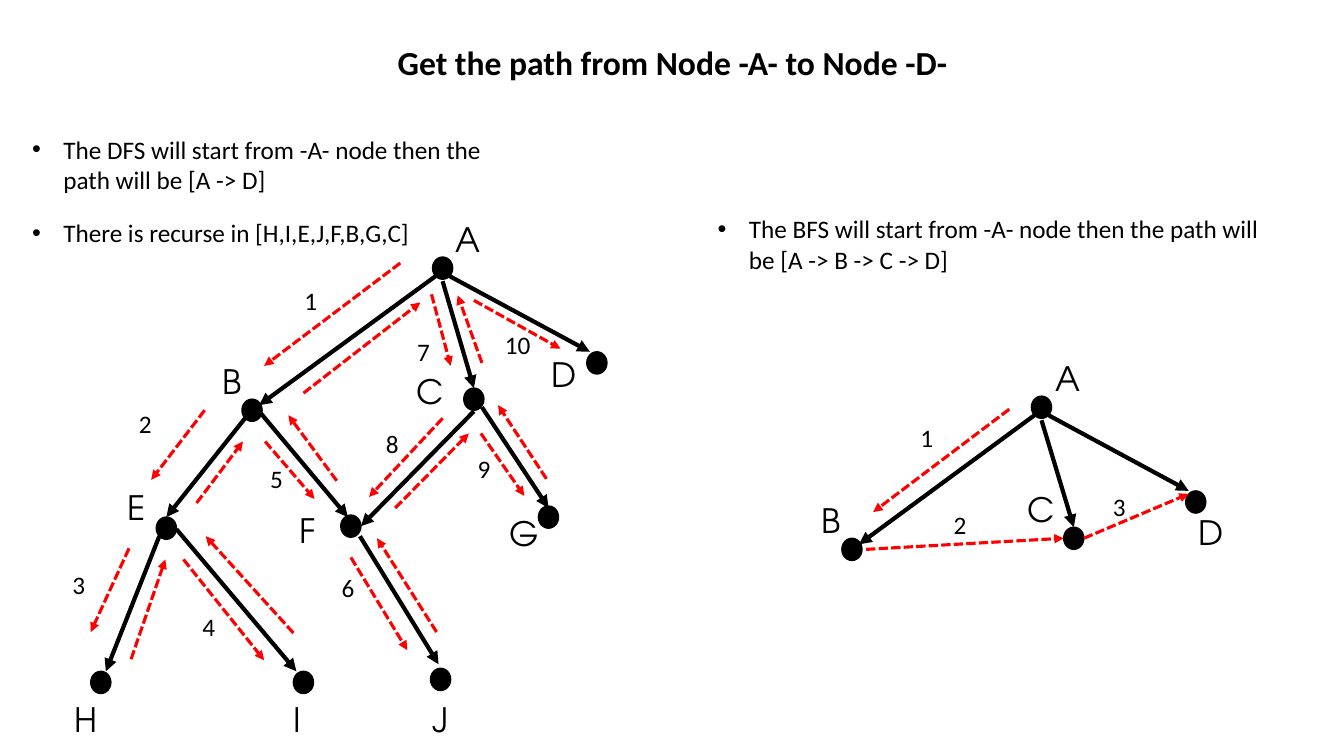
from lxml.etree import SubElement
from pptx import Presentation
from pptx.dml.color import RGBColor
from pptx.enum.dml import MSO_LINE
from pptx.enum.shapes import MSO_CONNECTOR, MSO_SHAPE
from pptx.enum.text import PP_ALIGN
from pptx.oxml.ns import qn
from pptx.util import Inches, Pt

BLACK, RED = "000000", "FF0000"
BODY, LABEL = "Calibri", "TeX Gyre Adventor"

# Every place below is in inches from the corner of its graph's box.
# Nodes: name, dot left and top, label left and top
DFS_NODES = [
    ("A", 4.29, 0.55, 4.42, 0.12), ("B", 2.4, 1.96, 2.11, 1.53),
    ("C", 4.6, 1.85, 4.03, 1.63), ("D", 5.82, 1.49, 5.37, 1.46),
    ("E", 1.55, 3.13, 1.17, 2.78), ("F", 3.38, 3.11, 2.87, 3.01),
    ("G", 5.34, 3.02, 4.96, 3.04), ("H", 0.9, 4.66, 0.64, 4.88),
    ("I", 2.91, 4.66, 2.81, 4.88), ("J", 4.27, 4.63, 4.19, 4.88),
]
# Edges and steps: start x, y and end x, y
DFS_EDGES = [
    (4.32, 0.74, 2.57, 2.02), (4.39, 0.79, 4.7, 1.85),
    (4.46, 0.74, 5.85, 1.49), (2.43, 2.15, 1.65, 3.13),
    (2.57, 2.08, 3.45, 3.13), (4.7, 2.08, 3.58, 3.22),
    (4.78, 2.04, 5.44, 3.04), (1.58, 3.32, 1.05, 4.66),
    (1.75, 3.25, 2.94, 4.66), (3.57, 3.32, 4.35, 4.59),
]
DFS_STEPS = [
    (3.97, 0.61, 2.62, 1.63), (2.03, 2.07, 1.5, 2.76),
    (1.28, 3.44, 0.9, 4.27), (1.3, 4.54, 1.64, 3.55),
    (1.82, 3.55, 2.62, 4.55), (2.91, 4.28, 2.04, 3.32),
    (1.95, 2.99, 2.41, 2.38), (2.63, 2.38, 3.12, 2.95),
    (3.48, 3.53, 4.04, 4.45), (4.33, 4.27, 3.74, 3.34),
    (3.34, 2.77, 2.86, 2.12), (3.01, 1.9, 4.17, 1),
    (4.28, 0.92, 4.47, 1.63), (4.39, 2.15, 3.66, 2.93),
    (3.92, 3.04, 4.65, 2.3), (4.77, 2.3, 5.2, 2.92),
    (5.42, 2.75, 4.94, 2.02), (4.78, 1.6, 4.54, 0.93),
    (4.7, 0.98, 5.56, 1.46),
]
# Step numbers, counted from 1: left, top
DFS_COUNT = [
    (2.92, 0.78), (1.28, 2), (0.62, 3.6), (1.91, 4.02), (2.58, 2.55),
    (3.29, 3.63), (4.04, 1.29), (3.73, 2.2), (4.64, 2.45), (4.91, 1.22),
]

BFS_NODES = [
    ("A", 2.23, 0.43, 2.37, 0), ("B", 0.35, 1.84, 0.05, 1.41),
    ("C", 2.55, 1.73, 2.09, 1.3), ("D", 3.76, 1.37, 3.79, 1.53),
]
BFS_EDGES = [
    (2.26, 0.62, 0.52, 1.9), (2.33, 0.67, 2.65, 1.73),
    (2.4, 0.62, 3.79, 1.37),
]
BFS_STEPS = [
    (2.01, 0.56, 0.66, 1.58), (0.59, 1.95, 2.55, 1.84),
    (2.75, 1.84, 3.79, 1.4),
]
BFS_COUNT = [(1.03, 0.64), (1.36, 1.5), (2.94, 1.33)]


def color(code):
    """Turn a hex string into a colour."""
    return RGBColor.from_string(code)


def add_text(slide, box, words, size=18, font=BODY, bold=False):
    """Add a wrapped text box and return its paragraph."""
    frame = slide.shapes.add_textbox(*map(Inches, box)).text_frame
    frame.word_wrap = True
    para = frame.paragraphs[0]
    run = para.add_run()
    run.text = words
    run.font.size, run.font.name, run.font.bold = Pt(size), font, bold
    run.font.color.rgb = color(BLACK)
    return para


def add_title(slide, box, words):
    """Add the bold centred heading."""
    add_text(slide, box, words, 24, bold=True).alignment = PP_ALIGN.CENTER


def add_bullet(slide, box, words):
    """Add one bulleted note with a hanging indent."""
    props = add_text(slide, box, words)._p.get_or_add_pPr()
    hang = Inches(0.31)
    props.set("marL", str(hang))
    props.set("indent", str(-hang))
    SubElement(props, qn("a:buFont")).set("typeface", "Arial")
    SubElement(props, qn("a:buChar")).set("char", "•")


def add_arrow(slide, ends, code, width, dash=None):
    """Draw a straight arrow between two points."""
    arrow = slide.shapes.add_connector(
        MSO_CONNECTOR.STRAIGHT, *map(Inches, ends))
    line = arrow.line
    line.color.rgb, line.width = color(code), Pt(width)
    if dash:
        line.dash_style = dash
    SubElement(line._get_or_add_ln(), qn("a:tailEnd")).set("type", "triangle")
    SubElement(arrow._element.spPr, qn("a:effectLst"))


def add_dot(slide, left, top):
    """Draw the black dot of a node."""
    dot = slide.shapes.add_shape(
        MSO_SHAPE.OVAL, *map(Inches, (left, top, 0.2, 0.22)))
    dot.shadow.inherit = False
    dot.fill.solid()
    dot.fill.fore_color.rgb = color(BLACK)
    dot.line.color.rgb, dot.line.width = color(BLACK), Pt(1)


def add_graph(slide, left, top, nodes, edges, steps, count):
    """Draw a graph and its numbered walk from the box's corner."""
    def shift(ends):
        """Move a start and end point into the box."""
        x1, y1, x2, y2 = ends
        return left + x1, top + y1, left + x2, top + y2

    for ends in edges:
        add_arrow(slide, shift(ends), BLACK, 3)
    for name, *spots in nodes:
        dot_x, dot_y, tag_x, tag_y = shift(spots)
        add_dot(slide, dot_x, dot_y)
        add_text(slide, (tag_x, tag_y, 0.4, 0.5), name, 24, LABEL)
    for ends in steps:
        add_arrow(slide, shift(ends), RED, 2.25, MSO_LINE.SQUARE_DOT)
    for number, (x, y) in enumerate(count, 1):
        width = 0.3 if number < 10 else 0.47
        add_text(slide, (left + x, top + y, width, 0.4), str(number))


def add_dfs(slide, left, top):
    """Build the depth-first side: notes and graph."""
    add_bullet(slide, (left + 0.22, top, 5.1, 0.71),
               "The DFS will start from -A- node then the path will be "
               "[A -> D]")
    add_bullet(slide, (left + 0.22, top + 0.83, 4, 0.4),
               "There is recurse in [H,I,E,J,F,B,G,C]")
    add_graph(slide, left, top + 0.72,
              DFS_NODES, DFS_EDGES, DFS_STEPS, DFS_COUNT)


def add_bfs(slide, left, top):
    """Build the breadth-first side: note and graph."""
    add_bullet(slide, (left, top, 5.59, 0.71),
               "The BFS will start from -A- node then the path will be "
               "[A -> B -> C -> D]")
    add_graph(slide, left + 0.98, top + 1.43,
              BFS_NODES, BFS_EDGES, BFS_STEPS, BFS_COUNT)


def main():
    """Build and save the slide."""
    deck = Presentation()
    deck.slide_width, deck.slide_height = Inches(13.33), Inches(7.5)
    slide = deck.slides.add_slide(deck.slide_layouts[6])
    add_title(slide, (3.74, 0.37, 5.86, 0.5),
              "Get the path from Node -A- to Node -D-")
    add_dfs(slide, 0, 1.28)
    add_bfs(slide, 7.02, 2.07)
    deck.save("out.pptx")


main()
